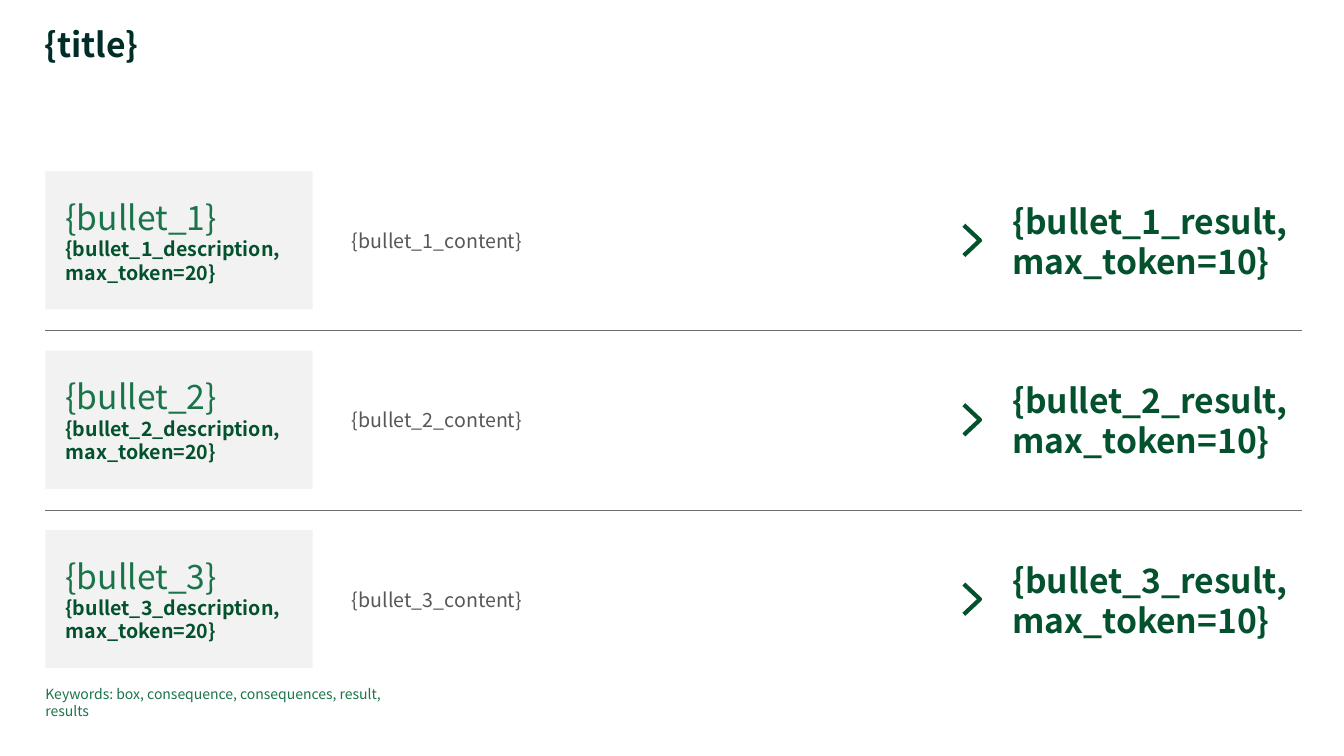
from dataclasses import dataclass

from lxml import etree
from pptx import Presentation
from pptx.dml.color import RGBColor
from pptx.enum import shapes, text
from pptx.oxml import ns
from pptx.util import Inches, Pt


@dataclass(frozen=True)
class Theme:
    """Colours, font and type sizes of the slide."""
    font: str = "Noto Sans CJK JP"
    ink: str = "002D28"
    dark: str = "03522D"
    green: str = "1A7449"
    grey: str = "575757"
    rule: str = "6E6F73"
    panel: str = "F2F2F2"
    large: int = 24
    body: int = 14
    small: int = 10


THEME = Theme()
LEFT, TOP, RIGHT = 0.45, 1.7, 12.91
HEIGHT, PITCH, ROWS = 1.37, 1.78, 3


def style(para, size, color, bold=False):
    """Format every run of a paragraph."""
    for run in para.runs:
        run.font.name = THEME.font
        run.font.size = Pt(size)
        run.font.bold = bold
        run.font.color.rgb = RGBColor.from_string(color)


def inset(frame, side, edge):
    """Set wrapping and the inner margins of a text frame."""
    frame.word_wrap = True
    frame.margin_left = frame.margin_right = Inches(side)
    frame.margin_top = frame.margin_bottom = Inches(edge)


def label(slide, box, words, size, color, bold=False, middle=True):
    """Add a one-paragraph text box and return its paragraph."""
    frame = slide.shapes.add_textbox(*map(Inches, box)).text_frame
    inset(frame, 0, 0)
    anchor = text.MSO_ANCHOR
    frame.vertical_anchor = anchor.MIDDLE if middle else anchor.TOP
    frame.text = words
    para = frame.paragraphs[0]
    style(para, size, color, bold)
    return para


def panel(slide, top, head, detail):
    """Add a grey box with a heading and a bold description."""
    box = slide.shapes.add_shape(
        shapes.MSO_SHAPE.RECTANGLE, Inches(LEFT), Inches(top),
        Inches(2.65), Inches(HEIGHT))
    box.shadow.inherit = False
    box.fill.solid()
    box.fill.fore_color.rgb = RGBColor.from_string(THEME.panel)
    box.line.fill.background()
    frame = box.text_frame
    inset(frame, 0.2, 0.16)
    frame.vertical_anchor = text.MSO_ANCHOR.MIDDLE
    frame.text = head
    para = frame.add_paragraph()
    para.text = detail
    for item in frame.paragraphs:
        item.alignment = text.PP_ALIGN.LEFT
    style(frame.paragraphs[0], THEME.large, THEME.green)
    style(para, THEME.body, THEME.dark, True)


def divide(slide, y):
    """Add a thin rule across the slide."""
    line = slide.shapes.add_connector(
        shapes.MSO_CONNECTOR.STRAIGHT, Inches(LEFT), Inches(y),
        Inches(RIGHT), Inches(y))
    line.line.color.rgb = RGBColor.from_string(THEME.rule)
    line.line.width = Pt(0.5)
    etree.SubElement(line._element.spPr, ns.qn("a:effectLst"))


def chevron(slide, mid):
    """Add an open arrow that points right."""
    left, tip, half = 9.56, 9.72, 0.15
    path = slide.shapes.build_freeform(
        Inches(left), Inches(mid - half), scale=1.0)
    path.add_line_segments(
        [(Inches(tip), Inches(mid)), (Inches(left), Inches(mid + half))],
        close=False)
    mark = path.convert_to_shape()
    mark.shadow.inherit = False
    mark.fill.background()
    mark.line.color.rgb = RGBColor.from_string(THEME.dark)
    mark.line.width = Pt(3)


def row(slide, index):
    """Add one row: panel, content, arrow and result."""
    top = TOP + index * PITCH
    mid = top + HEIGHT / 2
    name = f"bullet_{index + 1}"
    panel(slide, top, f"{{{name}}}", f"{{{name}_description,max_token=20}}")
    label(slide, (3.49, mid - 0.12, 5.76, 0.24), f"{{{name}_content}}",
          THEME.body, THEME.grey)
    chevron(slide, mid)
    label(slide, (10.04, mid - 0.4, 2.88, 0.81),
          f"{{{name}_result,max_token=10}}", THEME.large, THEME.dark, True)


def main():
    """Build the slide and save it."""
    deck = Presentation()
    deck.slide_width, deck.slide_height = Inches(13.33), Inches(7.5)
    slide = deck.slides.add_slide(deck.slide_layouts[6])
    title = label(slide, (0.44, 0.28, 11.03, 0.37), "{title}",
                  THEME.large, THEME.ink, True, False)
    title.line_spacing = 0.9
    for index in range(ROWS):
        row(slide, index)
    for index in range(ROWS - 1):
        divide(slide, 3.28 + index * PITCH)
    label(slide, (LEFT, 6.8, 3.7, 0.17),
          "Keywords: box, consequence, consequences, result, results",
          THEME.small, THEME.green, middle=False)
    deck.save("out.pptx")


if __name__ == "__main__":
    main()
